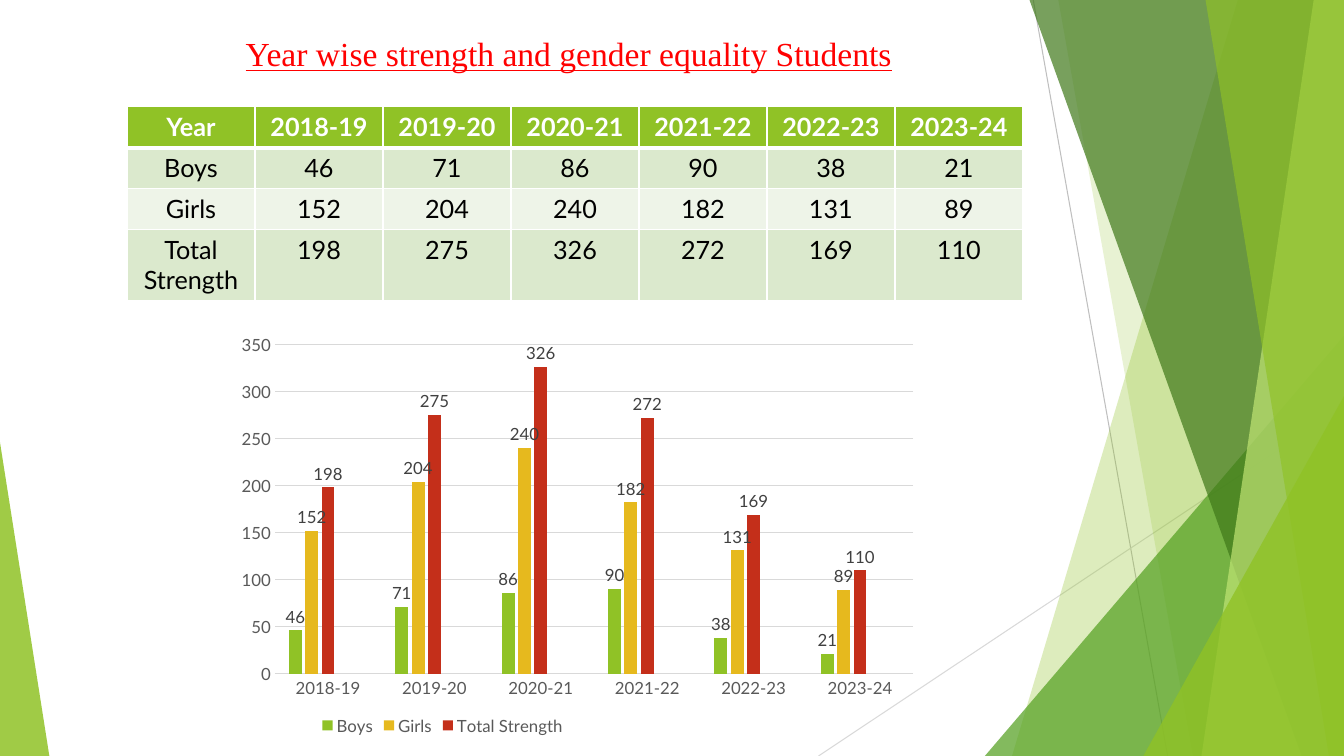
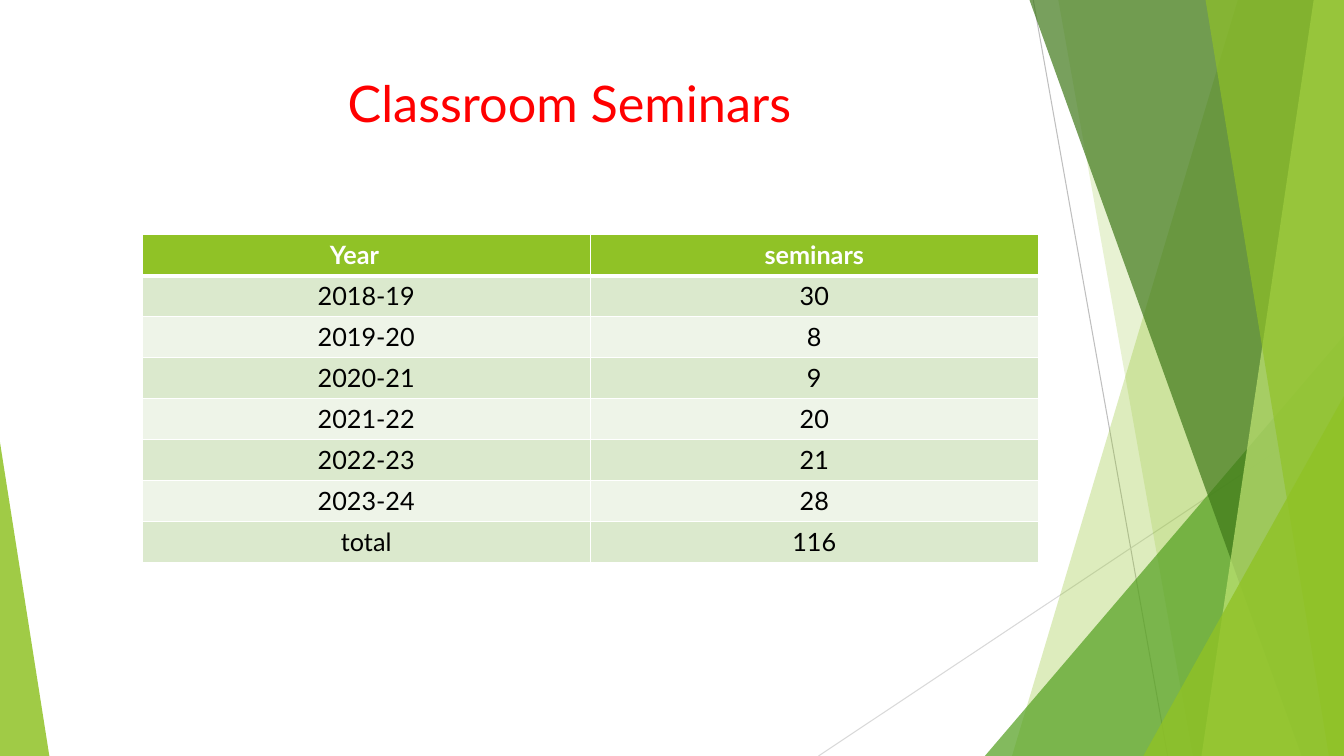
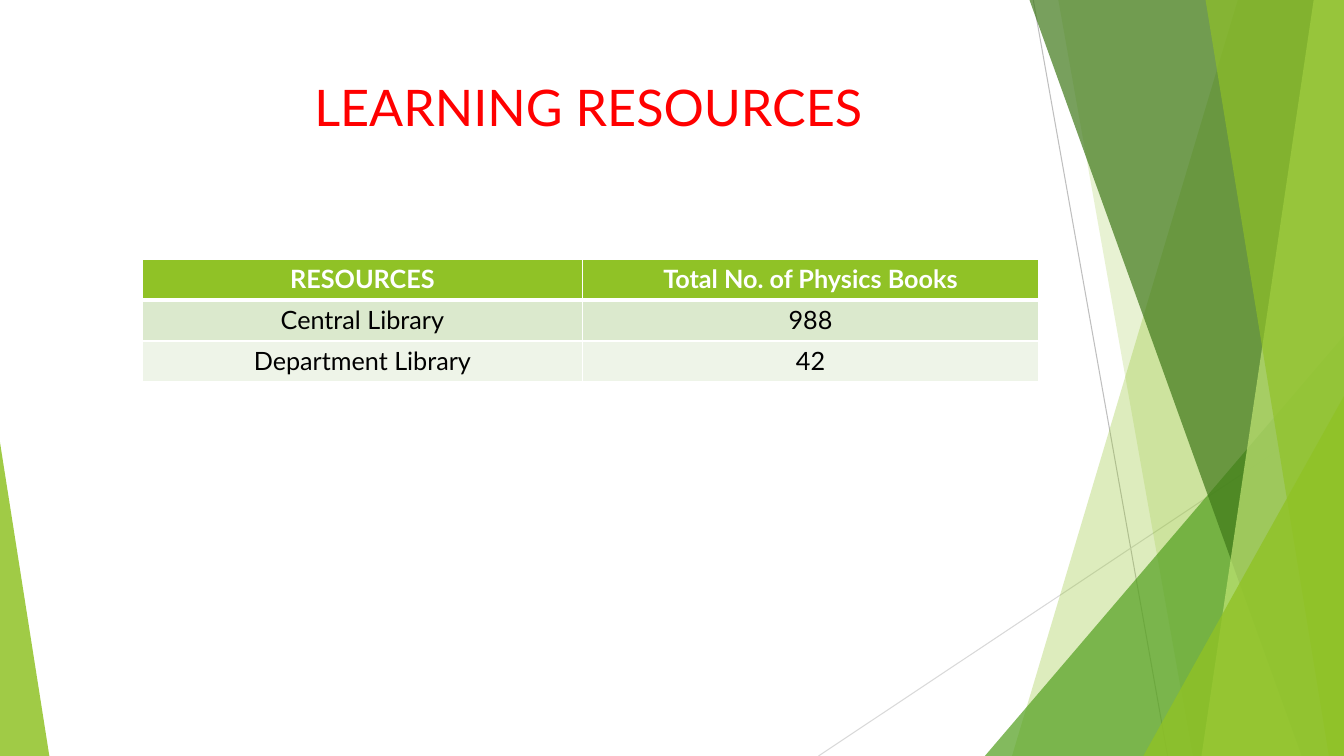
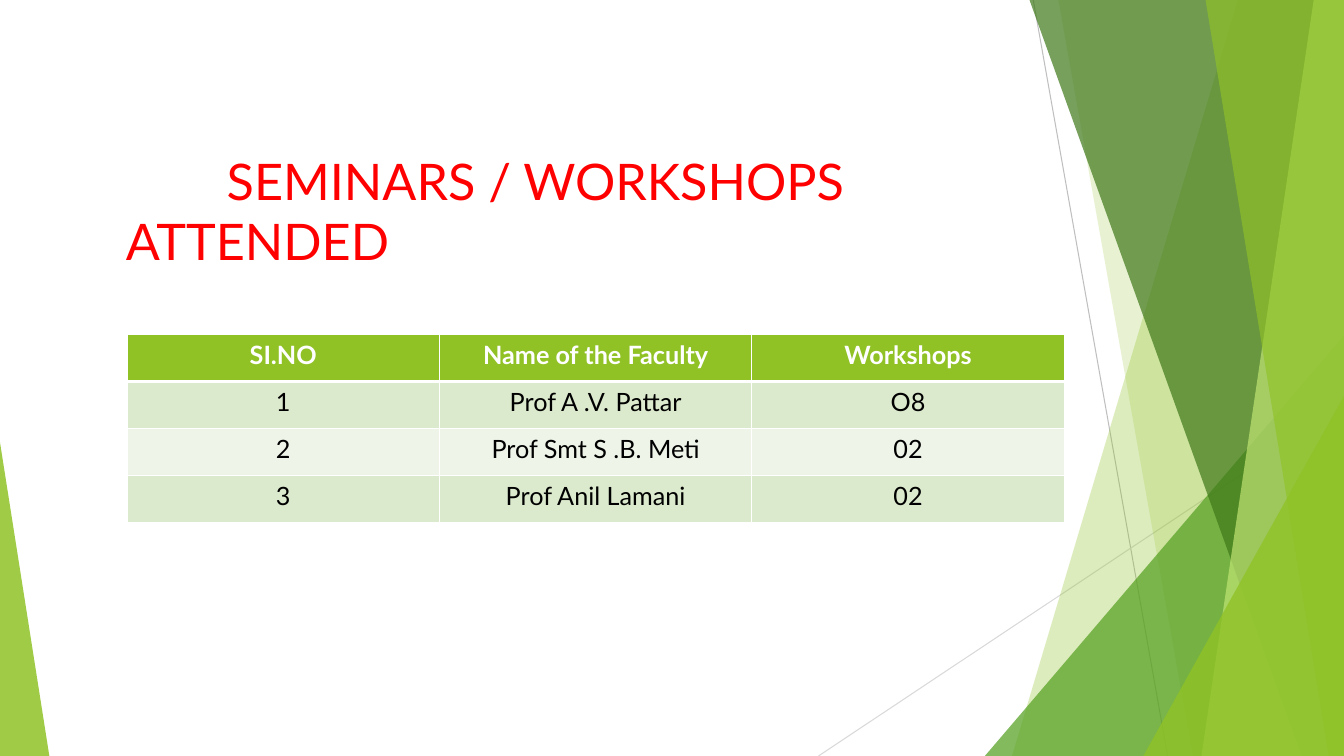
from lxml.etree import SubElement
from pptx import Presentation
from pptx.chart.data import CategoryChartData
from pptx.dml.color import RGBColor
from pptx.enum.chart import XL_CHART_TYPE as CHART, XL_LABEL_POSITION as LABEL
from pptx.enum.chart import XL_LEGEND_POSITION as LEGEND, XL_TICK_MARK as TICK
from pptx.enum.shapes import MSO_CONNECTOR as CONNECTOR, MSO_SHAPE as SHAPE
from pptx.enum.text import PP_ALIGN as ALIGN
from pptx.oxml import parse_xml
from pptx.oxml.ns import nsdecls, qn
from pptx.util import Inches, Pt

W, H = Inches(13.333), Inches(7.5)
FONT = "Lato"
GREEN, LEAF, FOREST, LIME = "90C226", "54A021", "3F7819", "C0E474"
RED, WHITE, BLACK, GREY, RULE = "FF0000", "FFFFFF", "000000", "595959", "D9D9D9"
BANDS = "DBE9CD", "EEF4E8"
YEARS = ["2018-19", "2019-20", "2020-21", "2021-22", "2022-23", "2023-24"]
STRENGTH = {
    "Boys": [46, 71, 86, 90, 38, 21],
    "Girls": [152, 204, 240, 182, 131, 89],
    "Total Strength": [198, 275, 326, 272, 169, 110],
}
SERIES_COLORS = [GREEN, "E6B91E", "C42F1A", "8C7010", "761C10"]


def rgb(value):
    return RGBColor.from_string(value)


def across(percent):
    return round(W * percent / 100)


def down(percent):
    return round(H * percent / 100)


def place(box):
    x, y, w, h = box
    return across(x), down(y), across(w), down(h)


def set_font(font, size, color, name=FONT, bold=False):
    font.name, font.size, font.bold = name, Pt(size), bold
    font.color.rgb = rgb(color)


def tint(s, color, opacity):
    s.shadow.inherit = False
    s.fill.solid()
    s.fill.fore_color.rgb = rgb(color)
    s.line.fill.background()
    clr = s._element.spPr.xpath("./a:solidFill/a:srgbClr")[0]
    SubElement(clr, qn("a:alpha")).set("val", str(opacity * 1000))


def add_ray(shapes, x1, y1, x2, y2, color):
    s = shapes.add_connector(CONNECTOR.STRAIGHT, across(x1), down(y1), across(x2), down(y2))
    s.line.color.rgb = rgb(color)
    s.line.width = Pt(0.75)
    SubElement(s._element.spPr, qn("a:effectLst"))


def add_pane(shapes, top_x, bottom_x, color, opacity):
    builder = shapes.build_freeform(across(top_x), 0)
    builder.add_line_segments([(W, 0), (W, H), (across(bottom_x), H)], close=True)
    tint(builder.convert_to_shape(), color, opacity)


def add_corner(shapes, x, y, w, apex, color, opacity):
    s = shapes.add_shape(SHAPE.ISOSCELES_TRIANGLE, *place((x, y, w, 100 - y)))
    s.adjustments[0] = apex
    tint(s, color, opacity)


def add_backdrop(slide):
    shapes = slide.shapes
    add_ray(shapes, 76.88, 0, 86.88, 100, "BFBFBF")
    add_ray(shapes, 100, 53.73, 60.9, 100, RULE)
    add_pane(shapes, 92.1, 75.3, GREEN, 30)
    add_pane(shapes, 78.75, 88.75, GREEN, 20)
    add_corner(shapes, 73.28, 44.4, 26.72, 1, LEAF, 72)
    add_pane(shapes, 76.6, 96.85, FOREST, 70)
    add_pane(shapes, 97.75, 89.4, LIME, 70)
    add_pane(shapes, 89.7, 98.88, GREEN, 65)
    add_corner(shapes, 85.07, 52.4, 14.93, 1, GREEN, 80)
    add_corner(shapes, 0, 58.53, 3.67, 0, GREEN, 85)
    for s in list(shapes):
        slide.slide_layout.shapes._spTree.append(s._element)


def add_title(slide, box, text, indent=0, size=36, name=FONT):
    tf = slide.shapes.add_textbox(*place(box)).text_frame
    tf.word_wrap = True
    p = tf.paragraphs[0]
    p.text = text
    p._p.get_or_add_pPr().set("indent", str(across(indent)))
    set_font(p.font, size, RED, name)
    return p


def add_borders(cell, top, bottom):
    tcPr = cell._tc.get_or_add_tcPr()
    for side, width in zip("LRTB", (1, 1, top, bottom)):
        ln = SubElement(tcPr, qn(f"a:ln{side}"), w=str(Pt(width)))
        SubElement(SubElement(ln, qn("a:solidFill")), qn("a:srgbClr"), val=WHITE)


def add_grid(slide, x, y, w, row_h, rows, shares=None):
    shares = shares or [1] * len(rows[0])
    box = place((x, y, w, row_h * len(rows)))
    table = slide.shapes.add_table(len(rows), len(shares), *box).table
    for col, share in zip(table.columns, shares):
        col.width = round(box[2] * share / sum(shares))
    for i, values in enumerate(rows):
        table.rows[i].height = down(row_h)
        for j, value in enumerate(values):
            cell = table.cell(i, j)
            add_borders(cell, 3 if i == 1 else 1, 3 if i == 0 else 1)
            cell.fill.solid()
            cell.fill.fore_color.rgb = rgb(BANDS[(i - 1) % 2] if i else GREEN)
            p = cell.text_frame.paragraphs[0]
            p.text = str(value)
            p.alignment = ALIGN.CENTER
            set_font(p.font, 18, BLACK if i else WHITE, bold=i == 0)
    return table


def chart_layout(target="", **edges):
    modes = "".join(f'<c:{k}Mode val="edge"/>' for k in edges if k in "xy")
    sizes = "".join(f'<c:{k} val="{v}"/>' for k, v in edges.items())
    return parse_xml(f'<c:layout {nsdecls("c")}><c:manualLayout>{target}{modes}{sizes}'
                     '</c:manualLayout></c:layout>')


def drop_layout(parent):
    for old in parent.findall(qn("c:layout")):
        parent.remove(old)


def style_legend(chart, hidden):
    chart.has_legend = True
    legend = chart.legend
    legend.position = LEGEND.BOTTOM
    legend.include_in_layout = False
    set_font(legend.font, 12, GREY)
    drop_layout(legend._element)
    pos = legend._element.find(qn("c:legendPos"))
    pos.addnext(chart_layout(x=0.13, y=0.92))
    for idx in reversed(hidden):
        pos.addnext(parse_xml(f'<c:legendEntry {nsdecls("c")}><c:idx val="{idx}"/>'
                              '<c:delete val="1"/></c:legendEntry>'))


def style_axes(chart):
    cat, val = chart.category_axis, chart.value_axis
    for axis in (cat, val):
        axis.major_tick_mark = axis.minor_tick_mark = TICK.NONE
        set_font(axis.tick_labels.font, 12, GREY)
    val.minimum_scale, val.maximum_scale, val.major_unit = 0, 350, 50
    val.has_major_gridlines = True
    val.format.line.fill.background()
    for line in (cat.format.line, val.major_gridlines.format.line):
        line.color.rgb = rgb(RULE)
        line.width = Pt(0.75)


def add_strength_chart(slide, box):
    data = CategoryChartData()
    data.categories = YEARS
    for name, values in STRENGTH.items():
        data.add_series(name, values)
    for name in ("Series 4", "Series 5"):
        data.add_series(name, [None] * len(YEARS))
    chart = slide.shapes.add_chart(CHART.COLUMN_CLUSTERED, *place(box), data).chart
    chart.has_title = False
    set_font(chart.font, 10, BLACK)
    plot = chart.plots[0]
    plot.gap_width, plot.overlap, plot.vary_by_categories = 219, -27, False
    for series, color in zip(plot.series, SERIES_COLORS):
        series.format.fill.solid()
        series.format.fill.fore_color.rgb = rgb(color)
        labels = series.data_labels
        labels.show_value = True
        labels.position = LABEL.OUTSIDE_END
        set_font(labels.font, 12, "404040")
    style_axes(chart)
    style_legend(chart, hidden=[3, 4])
    area = chart._chartSpace.chart.plotArea
    drop_layout(area)
    area.insert(0, chart_layout('<c:layoutTarget val="inner"/>', x=0.07, y=0.04, w=0.91, h=0.79))


def build_strength(slide):
    p = add_title(slide, (17.55, 3.73, 53.4, 6.67),
                  "Year wise strength and gender equality Students",
                  size=24, name="Times New Roman")
    p.font.underline = True
    rows = [["Year", *YEARS]] + [[name, *values] for name, values in STRENGTH.items()]
    add_grid(slide, 9.45, 14.13, 66.68, 5.42, rows)
    add_strength_chart(slide, (16.8, 43.33, 52.2, 55.2))


def build_seminars(slide):
    add_title(slide, (8.93, 8.93, 57.6, 10.53), "Classroom Seminars", indent=16.2)
    counts = [30, 8, 9, 20, 21, 28]
    rows = [("Year", "seminars"), *zip(YEARS, counts), ("total", sum(counts))]
    table = add_grid(slide, 10.58, 31.07, 66.68, 5.42, rows)
    table.cell(0, 0).margin_right = across(2.5)


def build_resources(slide):
    add_title(slide, (8.55, 9.47, 70, 12.67), "LEARNING RESOURCES", indent=14.1)
    rows = [("RESOURCES", "Total No. of Physics Books"),
            ("Central Library", 988), ("Department Library", 42)]
    add_grid(slide, 10.58, 34.27, 66.68, 5.42, rows, shares=[4.37, 4.52])


def build_workshops(slide):
    add_title(slide, (8.63, 19.2, 70.1, 10.13), "SEMINARS / WORKSHOPS ATTENDED", indent=7.5)
    rows = [("SI.NO", "Name of the Faculty", "Workshops"),
            (1, "Prof A .V. Pattar", "O8"),
            (2, "Prof Smt S .B. Meti", "02"),
            (3, "Prof Anil Lamani", "02")]
    add_grid(slide, 9.45, 44.27, 69.75, 6.2, rows)


def main():
    prs = Presentation()
    prs.slide_width, prs.slide_height = W, H
    blank = prs.slide_layouts[6]
    builders = [build_strength, build_seminars, build_resources, build_workshops]
    slides = [prs.slides.add_slide(blank) for _ in builders]
    add_backdrop(slides[0])
    for build, slide in zip(builders, slides):
        build(slide)
    prs.save("out.pptx")


if __name__ == "__main__":
    main()
